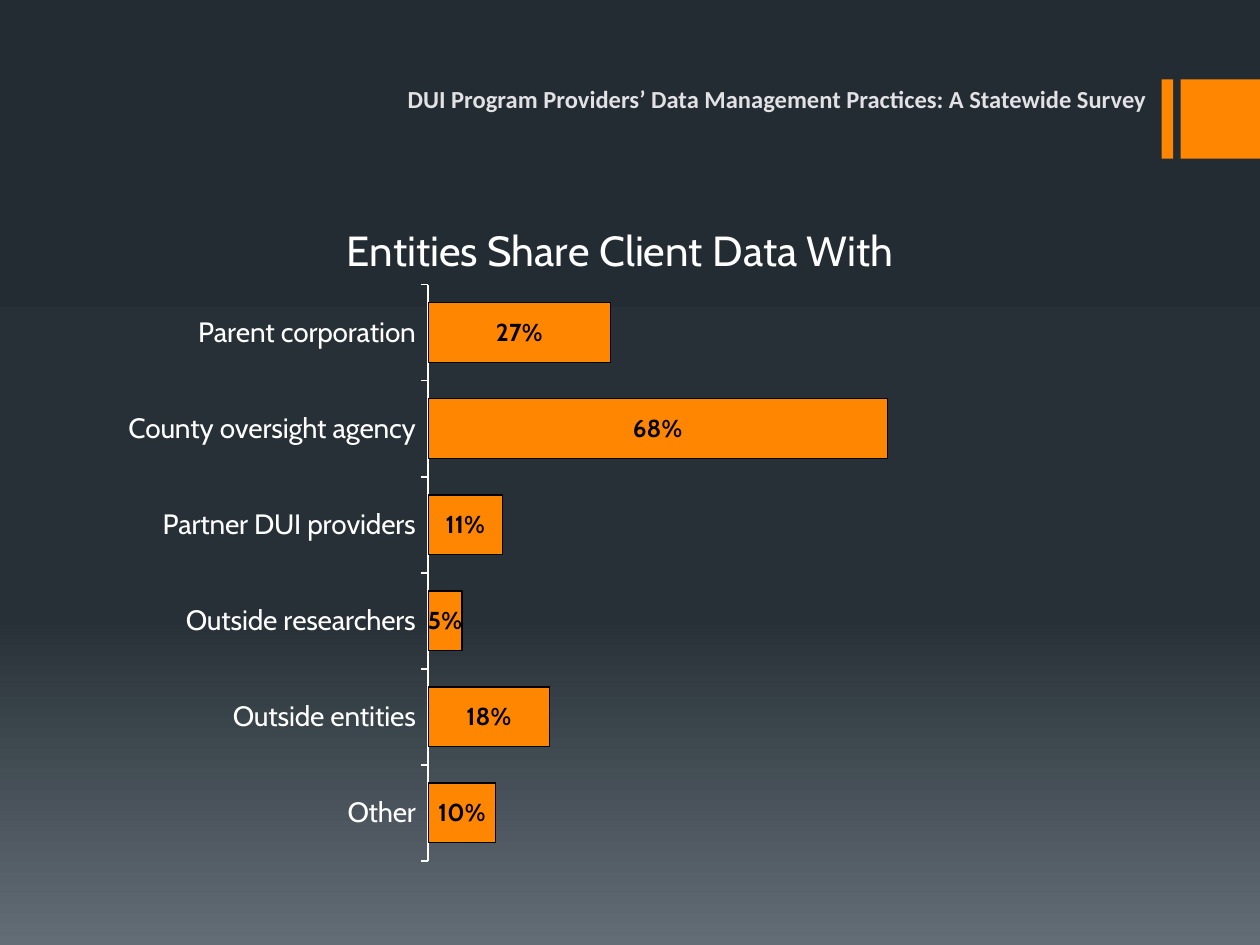
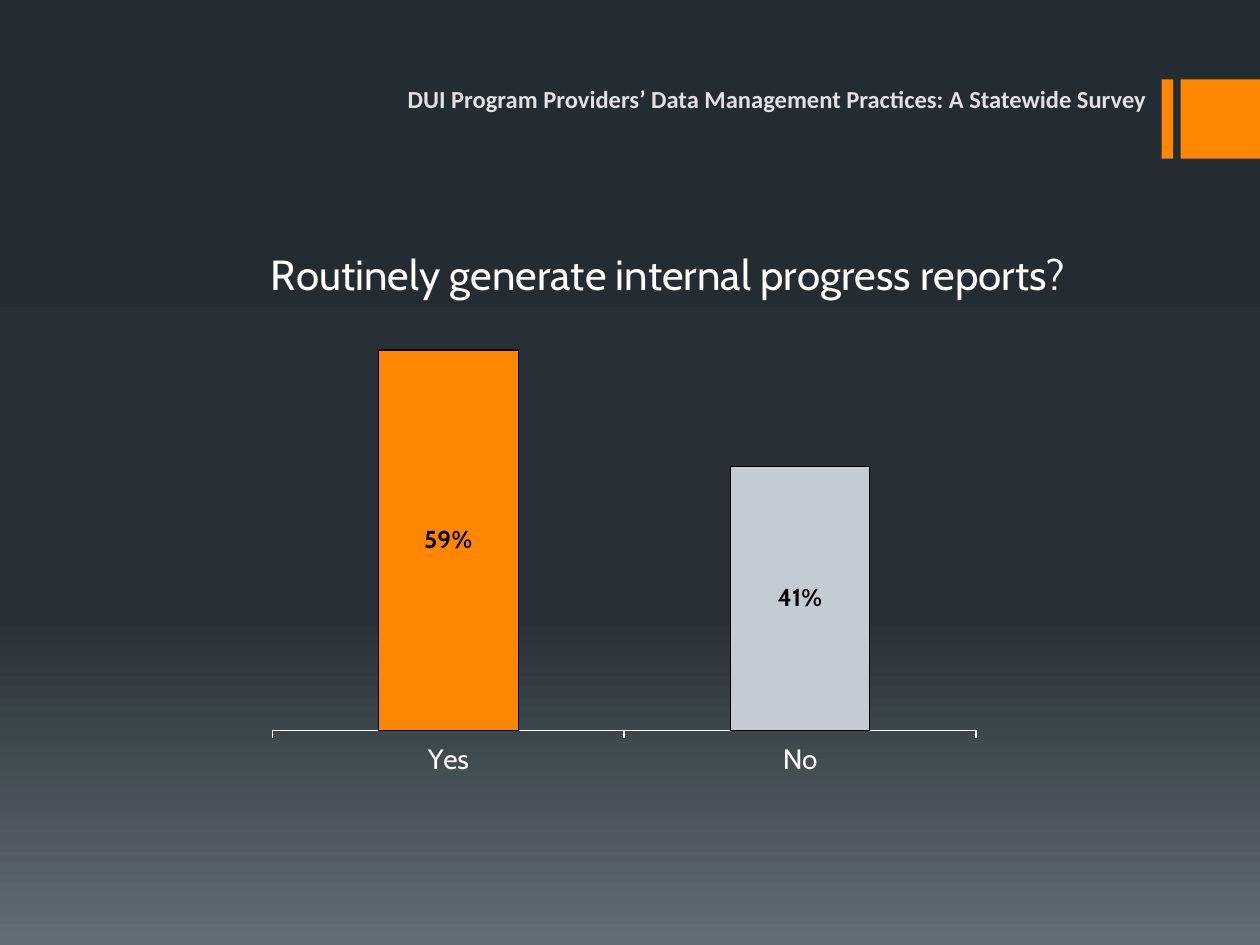
from dataclasses import dataclass

from lxml import etree
from pptx import Presentation
from pptx import util as u
from pptx.chart import data as chart_data
from pptx.dml.color import RGBColor
from pptx.enum import chart as chart_enum, shapes, text
from pptx.oxml import ns


@dataclass(frozen=True)
class Theme:
    orange: RGBColor = RGBColor.from_string("FF8600")
    grey: RGBColor = RGBColor.from_string("C3CCD4")
    white: RGBColor = RGBColor.from_string("FFFFFF")
    black: RGBColor = RGBColor.from_string("000000")
    header: RGBColor = RGBColor.from_string("E2E1E5")
    background: tuple = ((0, "242C33"), (65, "273037"), (100, "636D76"))
    header_font: str = "Calibri"
    chart_font: str = "Cabin"
    header_size: u.Pt = u.Pt(14)
    title_size: u.Pt = u.Pt(24)
    category_size: u.Pt = u.Pt(16)
    label_size: u.Pt = u.Pt(14)


theme = Theme()

HEADER = "DUI Program Providers’ Data Management Practices: A Statewide Survey"
BANDS = ((9.22, 0.09), (9.37, 0.63))
CHARTS = (
    dict(
        title="Entities Share Client Data With",
        kind=chart_enum.XL_CHART_TYPE.BAR_CLUSTERED,
        box=(0.83, 1.42, 8.08, 5.42),
        values={
            "Other": 0.10,
            "Outside entities": 0.18,
            "Outside researchers": 0.05,
            "Partner DUI providers": 0.11,
            "County oversight agency": 0.68,
            "Parent corporation": 0.27,
        },
        maximum=1, gap=61, overlap=-19, grey_points=(),
        title_layout=dict(x=0.23, y=0.05),
        plot_layout=dict(x=0.318, y=0.155, w=0.663, h=0.845),
    ),
    dict(
        title="Routinely generate internal progress reports?",
        kind=chart_enum.XL_CHART_TYPE.COLUMN_CLUSTERED,
        box=(1, 1.67, 8.08, 4.67),
        values={"Yes": 0.59, "No": 0.41},
        maximum=0.7, gap=152, overlap=0, grey_points=(1,),
        title_layout=dict(x=0.135, y=0.045),
        plot_layout=dict(x=0.144, y=0.117, w=0.691, h=0.767),
    ),
)


def style_font(font, name, size, color, bold=False):
    font.name = name
    font.size = size
    font.bold = bold
    font.color.rgb = color


def place(element, index, position):
    for old in element.findall(ns.qn("c:layout")):
        element.remove(old)
    layout = etree.Element(ns.qn("c:layout"))
    manual = etree.SubElement(layout, ns.qn("c:manualLayout"))
    settings = {"xMode": "edge", "yMode": "edge", **position}
    if "w" in position:
        settings = {"layoutTarget": "inner", **settings}
    for tag, value in settings.items():
        etree.SubElement(manual, ns.qn(f"c:{tag}")).set("val", str(value))
    element.insert(index, layout)


presentation = Presentation()
presentation.slide_width = u.Inches(10)
presentation.slide_height = u.Inches(7.5)

for entry in CHARTS:
    slide = presentation.slides.add_slide(presentation.slide_layouts[6])

    background = slide.background.fill
    background.gradient()
    background.gradient_angle = 270
    stops = slide.element.find(".//" + ns.qn("a:gsLst"))
    for stop in list(stops):
        stops.remove(stop)
    for percent, color in theme.background:
        stop = etree.SubElement(stops, ns.qn("a:gs"), pos=str(percent * 1000))
        etree.SubElement(stop, ns.qn("a:srgbClr"), val=color)

    for left, width in BANDS:
        band = slide.shapes.add_shape(
            shapes.MSO_SHAPE.RECTANGLE,
            u.Inches(left), u.Inches(0.63), u.Inches(width), u.Inches(0.63))
        band.shadow.inherit = False
        band.fill.solid()
        band.fill.fore_color.rgb = theme.orange
        band.line.fill.background()

    header = slide.shapes.add_textbox(
        u.Inches(1.67), u.Inches(0.67), u.Inches(7.53), u.Inches(0.33))
    frame = header.text_frame
    frame.word_wrap = True
    frame.margin_top = 0
    paragraph = frame.paragraphs[0]
    paragraph.alignment = text.PP_ALIGN.RIGHT
    run = paragraph.add_run()
    run.text = HEADER
    style_font(run.font, theme.header_font, theme.header_size, theme.header, True)

    figures = chart_data.CategoryChartData(number_format="0%")
    figures.categories = list(entry["values"])
    figures.add_series("Series 1", list(entry["values"].values()))
    chart = slide.shapes.add_chart(
        entry["kind"], *map(u.Inches, entry["box"]), figures).chart
    chart.has_legend = False
    style_font(chart.font, theme.chart_font, u.Pt(10), theme.white)

    chart.has_title = True
    run = chart.chart_title.text_frame.paragraphs[0].add_run()
    run.text = entry["title"]
    style_font(run.font, theme.chart_font, theme.title_size, theme.white)
    chart.chart_title.include_in_layout = False
    title_element = chart.element.find(".//" + ns.qn("c:title"))
    place(title_element, 1, entry["title_layout"])
    plot_element = chart.element.find(".//" + ns.qn("c:plotArea"))
    place(plot_element, 0, entry["plot_layout"])

    category_axis = chart.category_axis
    category_axis.has_major_gridlines = False
    category_axis.major_tick_mark = chart_enum.XL_TICK_MARK.OUTSIDE
    category_axis.format.line.color.rgb = theme.white
    category_axis.format.line.width = u.Pt(1)
    style_font(category_axis.tick_labels.font, theme.chart_font,
               theme.category_size, theme.white)

    value_axis = chart.value_axis
    value_axis.visible = False
    value_axis.has_major_gridlines = False
    value_axis.minimum_scale = 0
    value_axis.maximum_scale = entry["maximum"]

    plot = chart.plots[0]
    plot.vary_by_categories = False
    plot.gap_width = entry["gap"]
    plot.overlap = entry["overlap"]
    series = plot.series[0]
    series.invert_if_negative = False
    bars = [(series, theme.orange)]
    bars += [(series.points[index], theme.grey) for index in entry["grey_points"]]
    for bar, color in bars:
        bar.format.fill.solid()
        bar.format.fill.fore_color.rgb = color
        bar.format.line.color.rgb = theme.black
        bar.format.line.width = u.Pt(0.75)

    labels = series.data_labels
    labels.show_value = True
    labels.number_format = "0%"
    labels.number_format_is_linked = False
    labels.position = chart_enum.XL_LABEL_POSITION.CENTER
    style_font(labels.font, theme.chart_font, theme.label_size, theme.black, True)

presentation.save("out.pptx")
